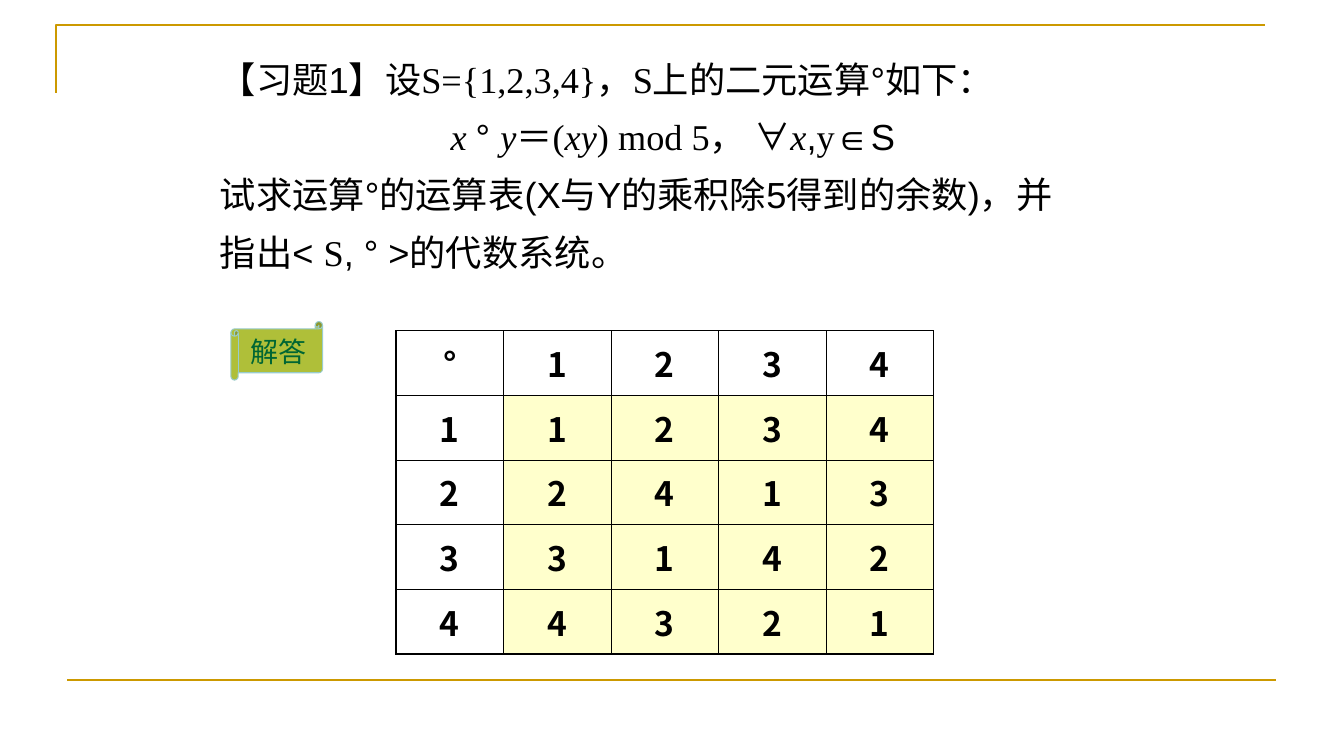
from dataclasses import dataclass

from lxml import etree
from pptx import Presentation
from pptx import util as u
from pptx.dml.color import RGBColor
from pptx.enum import shapes, text
from pptx.oxml.ns import qn


@dataclass(frozen=True)
class Theme:
    ink: str = "000000"
    gold: str = "CC9900"
    olive: str = "AFBF39"
    aqua: str = "99CCCC"
    green: str = "006633"
    cream: str = "FFFFCC"
    paper: str = "FFFFFF"
    sans: str = "Arial"
    serif: str = "Times New Roman"
    cjk: str = "Noto Sans CJK SC"
    body: float = 25.9
    table: float = 24
    label: float = 20
    rule: float = 1.5
    inner: float = 0.45
    outer: float = 1.08


class Board:
    """Draws styled elements on one slide, with lengths in points."""

    def __init__(self, slide, theme):
        self.slide = slide
        self.theme = theme

    def box(self, *lengths):
        return [u.Pt(length) for length in lengths]

    def color(self, name):
        return RGBColor.from_string(getattr(self.theme, name))

    def outline(self, shape, name, width):
        shape.line.color.rgb = self.color(name)
        shape.line.width = u.Pt(width)

    def run(self, paragraph, words, font, size, color="ink", bold=False, italic=False):
        run = paragraph.add_run()
        run.text = words
        run.font.name = getattr(self.theme, font)
        run.font.size = u.Pt(size)
        run.font.bold = bold
        run.font.italic = italic
        run.font.color.rgb = self.color(color)

    def corner(self, left, top, right, bottom):
        start, *rest = [self.box(*point) for point in
                        ((left, bottom), (left, top), (right, top))]
        builder = self.slide.shapes.build_freeform(*start)
        builder.add_line_segments(rest, close=False)
        shape = builder.convert_to_shape()
        shape.shadow.inherit = False
        shape.fill.background()
        self.outline(shape, "gold", self.theme.rule)

    def rule(self, left, right, y):
        line = self.slide.shapes.add_connector(
            shapes.MSO_CONNECTOR.STRAIGHT, *self.box(left, y, right, y))
        self.outline(line, "gold", self.theme.rule)
        etree.SubElement(line._element.spPr, qn("a:effectLst"))

    def exercise(self, left, top, width, height, paragraphs):
        frame = self.slide.shapes.add_textbox(*self.box(left, top, width, height)).text_frame
        frame.word_wrap = True
        for index, (alignment, runs) in enumerate(paragraphs):
            paragraph = frame.add_paragraph() if index else frame.paragraphs[0]
            paragraph.alignment = alignment
            paragraph.line_spacing = 1.1
            paragraph.space_before = u.Pt(7 if index else 0)
            properties = paragraph._p.get_or_add_pPr()
            properties.set("marL", str(u.Pt(27)))
            properties.set("indent", str(u.Pt(-27)))
            for words, font, italic in runs:
                self.run(paragraph, words, font, self.theme.body, italic=italic)

    def scroll(self, left, top, width, height, words):
        shape = self.slide.shapes.add_shape(
            shapes.MSO_SHAPE.HORIZONTAL_SCROLL, *self.box(left, top, width, height))
        shape.shadow.inherit = False
        shape.fill.solid()
        shape.fill.fore_color.rgb = self.color("olive")
        self.outline(shape, "aqua", 0.75)
        frame = shape.text_frame
        frame.word_wrap = False
        frame.vertical_anchor = text.MSO_ANCHOR.MIDDLE
        frame.paragraphs[0].alignment = text.PP_ALIGN.CENTER
        self.run(frame.paragraphs[0], words, "sans", self.theme.label, "green")

    def borders(self, cell, outer_sides):
        properties = cell._tc.get_or_add_tcPr()
        for position, side in enumerate("LRTB"):
            width = self.theme.outer if side in outer_sides else self.theme.inner
            line = etree.Element(qn("a:ln" + side), w=str(u.Pt(width)))
            fill = etree.SubElement(line, qn("a:solidFill"))
            etree.SubElement(fill, qn("a:srgbClr"), val=self.theme.ink)
            properties.insert(position, line)

    def operation_table(self, left, top, width, height, rows):
        count = len(rows)
        table = self.slide.shapes.add_table(
            count, count, *self.box(left, top, width, height)).table
        for row, values in enumerate(rows):
            for column, value in enumerate(values):
                cell = table.cell(row, column)
                cell.vertical_anchor = text.MSO_ANCHOR.MIDDLE
                cell.fill.solid()
                cell.fill.fore_color.rgb = self.color("cream" if row and column else "paper")
                edges = {"L": column == 0, "R": column == count - 1,
                         "T": row == 0, "B": row == count - 1}
                self.borders(cell, [side for side, is_outer in edges.items() if is_outer])
                paragraph = cell.text_frame.paragraphs[0]
                paragraph.alignment = text.PP_ALIGN.CENTER
                font = "cjk" if row or column else "sans"
                self.run(paragraph, str(value), font, self.theme.table, bold=True)


EXERCISE = [
    (text.PP_ALIGN.LEFT, [
        ("【习题1】", "sans", False),
        ("设S={1,2,3,4}，S上的二元运算", "serif", False),
        ("°", "sans", False),
        ("如下：", "serif", False)]),
    (text.PP_ALIGN.CENTER, [
        ("x ", "serif", True),
        ("° ", "sans", False),
        ("y", "serif", True),
        ("＝(", "serif", False),
        ("xy", "serif", True),
        (") mod 5， ", "serif", False),
        ("∀", "sans", False),
        ("x", "serif", True),
        (",", "sans", False),
        ("y", "serif", False),
        ("∈S", "sans", False)]),
    (text.PP_ALIGN.LEFT, [
        ("试求运算°的运算表(X与Y的乘积除5得到的余数)，并", "sans", False)]),
    (text.PP_ALIGN.LEFT, [
        ("指出< ", "sans", False),
        ("S", "serif", False),
        (", ° >的代数系统。", "sans", False)]),
]


def main():
    presentation = Presentation()
    presentation.slide_width = u.Pt(960.5)
    presentation.slide_height = u.Pt(540)
    slide = presentation.slides.add_slide(presentation.slide_layouts[6])
    board = Board(slide, Theme())
    board.corner(40.3, 18, 904.3, 66.2)
    board.rule(48.2, 912.2, 486)
    board.exercise(150, 34, 661.7, 191.5, EXERCISE)
    board.scroll(165, 229.7, 65.5, 41.8, "解答")
    members = range(1, 5)
    products = [[x, *(x * y % 5 for y in members)] for x in members]
    board.operation_table(283, 236.2, 384, 231, [["°", *members], *products])
    presentation.save("out.pptx")


if __name__ == "__main__":
    main()
